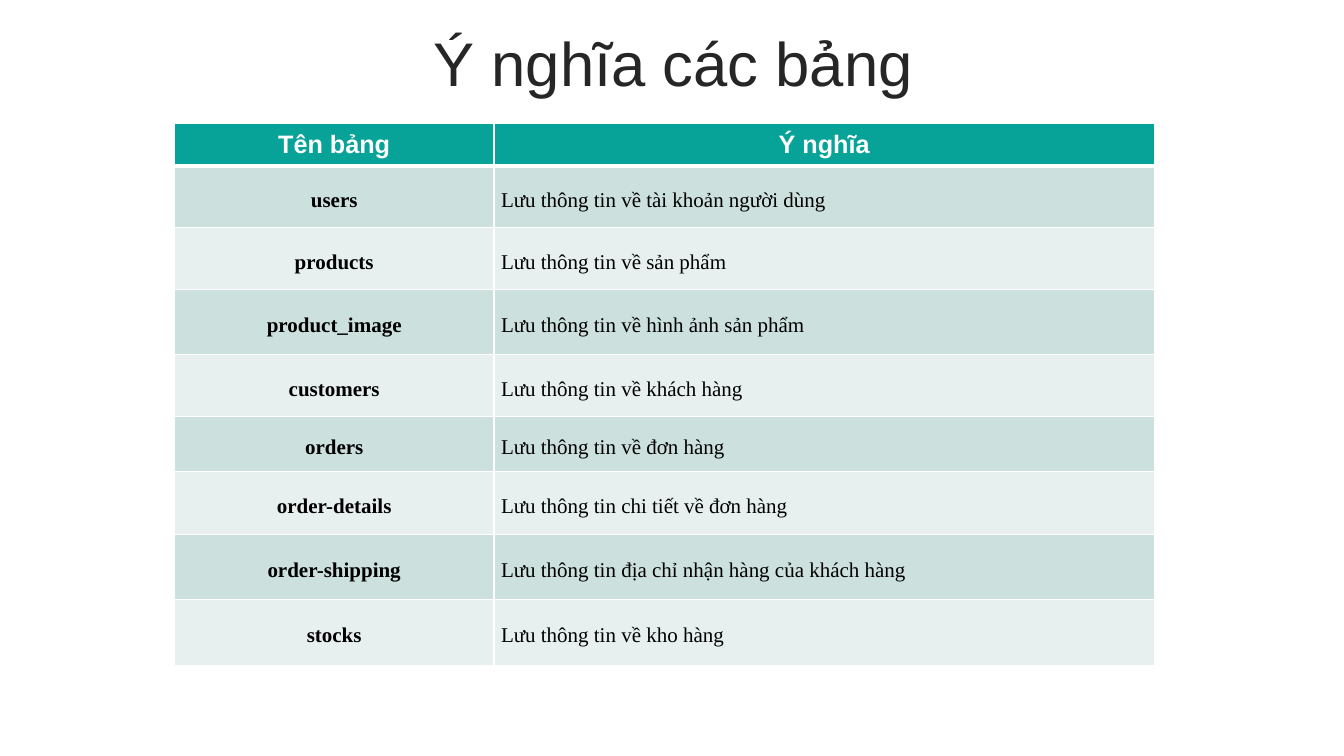
"""Build a slide that explains the meaning of each database table."""
from lxml.etree import fromstring
from pptx import Presentation
from pptx.dml.color import RGBColor
from pptx.enum.text import MSO_ANCHOR, PP_ALIGN
from pptx.util import Inches, Pt

TITLE = "Ý nghĩa các bảng"
HEADINGS = ("Tên bảng", "Ý nghĩa")
MEANINGS = [
    ("users", "Lưu thông tin về tài khoản người dùng"),
    ("products", "Lưu thông tin về sản phẩm"),
    ("product_image", "Lưu thông tin về hình ảnh sản phẩm"),
    ("customers", "Lưu thông tin về khách hàng"),
    ("orders", "Lưu thông tin về đơn hàng"),
    ("order-details", "Lưu thông tin chi tiết về đơn hàng"),
    ("order-shipping", "Lưu thông tin địa chỉ nhận hàng của khách hàng"),
    ("stocks", "Lưu thông tin về kho hàng"),
]
COLUMN_WIDTHS = (3.17, 6.55)
ROW_HEIGHTS = (0.43, 0.61, 0.61, 0.65, 0.61, 0.55, 0.62, 0.65, 0.65)
TABLE_LEFT, TABLE_TOP = 1.73, 1.22

WHITE = RGBColor(0xFF, 0xFF, 0xFF)
BLACK = RGBColor(0, 0, 0)
CHARCOAL = RGBColor(0x26, 0x26, 0x26)
TEAL = RGBColor(0x07, 0xA3, 0x98)
BANDS = (RGBColor(0xE7, 0xF0, 0xEF), RGBColor(0xCC, 0xE0, 0xDD))
DRAWING = "http://schemas.openxmlformats.org/drawingml/2006/main"


def style_font(font, name, size, color, bold):
    font.name, font.size, font.bold = name, Pt(size), bold
    font.color.rgb = color


def add_borders(cell, top, bottom):
    widths = {"lnL": 1, "lnR": 1, "lnT": top, "lnB": bottom}
    properties = cell._tc.get_or_add_tcPr()
    for position, (side, width) in enumerate(widths.items()):
        properties.insert(position, fromstring(
            f'<a:{side} xmlns:a="{DRAWING}" w="{Pt(width)}"><a:solidFill>'
            f'<a:srgbClr val="{WHITE}"/></a:solidFill></a:{side}>'))


def fill_cell(cell, text, row, column):
    header = row == 0
    cell.text_frame.text = text
    cell.vertical_anchor = MSO_ANCHOR.MIDDLE
    cell.margin_left = cell.margin_right = Inches(0.09 if header else 0.07)
    cell.margin_top = cell.margin_bottom = Inches(0.05 if header else 0)
    cell.fill.solid()
    cell.fill.fore_color.rgb = TEAL if header else BANDS[row % 2]
    add_borders(cell, 3 if row == 1 else 1, 3 if header else 1)
    para = cell.text_frame.paragraphs[0]
    centred = header or column == 0
    para.alignment = PP_ALIGN.CENTER if centred else PP_ALIGN.LEFT
    if header:
        style_font(para.runs[0].font, "Arial", 18, WHITE, True)
    else:
        para.line_spacing, para.space_after = 1.3, Pt(3)
        style_font(para.runs[0].font, "Times New Roman", 15, BLACK, centred)


def add_title(page):
    title = page.shapes.title
    title.left, title.top = Inches(0.35), Inches(0.27)
    title.width, title.height = Inches(12.66), Inches(0.79)
    frame = title.text_frame
    frame.text = TITLE
    frame.vertical_anchor = MSO_ANCHOR.MIDDLE
    para = frame.paragraphs[0]
    para.alignment, para.line_spacing = PP_ALIGN.CENTER, 0.9
    style_font(para.runs[0].font, "Arial", 44, CHARCOAL, False)


def add_meanings(page):
    rows = [HEADINGS, *MEANINGS]
    table = page.shapes.add_table(
        len(rows), len(HEADINGS), Inches(TABLE_LEFT), Inches(TABLE_TOP),
        Inches(sum(COLUMN_WIDTHS)), Inches(sum(ROW_HEIGHTS))).table
    for column, width in zip(table.columns, COLUMN_WIDTHS):
        column.width = Inches(width)
    for row, height in zip(table.rows, ROW_HEIGHTS):
        row.height = Inches(height)
    for row, texts in enumerate(rows):
        for column, text in enumerate(texts):
            fill_cell(table.cell(row, column), text, row, column)


def main():
    deck = Presentation()
    deck.slide_width, deck.slide_height = Inches(13.33), Inches(7.5)
    page = deck.slides.add_slide(deck.slide_layouts.get_by_name("Title Only"))
    add_title(page)
    add_meanings(page)
    deck.save("out.pptx")


if __name__ == "__main__":
    main()
